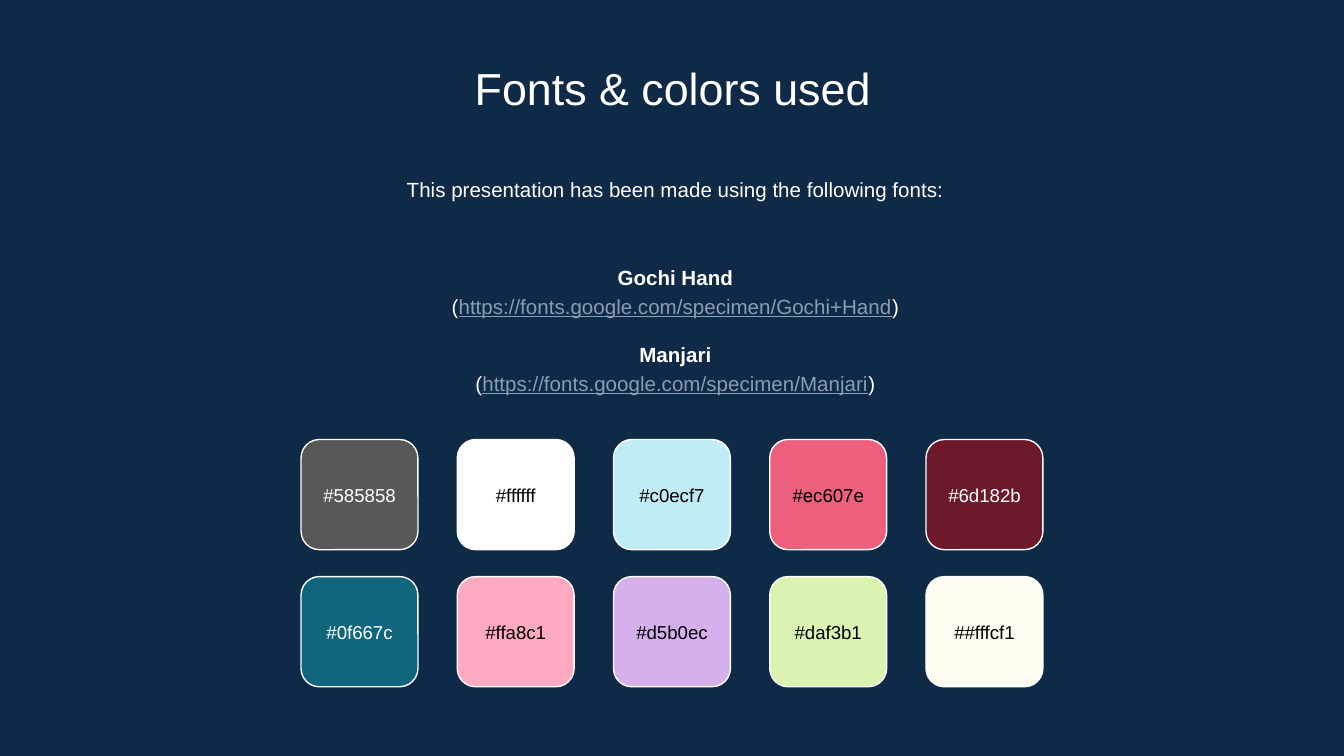
from typing import NamedTuple

from pptx import Presentation
from pptx.dml.color import RGBColor
from pptx.enum.shapes import MSO_SHAPE as Shape
from pptx.enum.text import MSO_ANCHOR as Anchor, PP_ALIGN as Align
from pptx.util import Inches, Pt

WIDTH = 10
HEIGHT = WIDTH * 9 / 16
FONT = "Arial"
NAVY, WHITE, BLACK, LINK = "0E2A47", "FFFFFF", "000000", "869FB2"
GRID_LEFT, GRID_TOP = 2.24, 3.27
SWATCH_WIDTH, SWATCH_HEIGHT, LABEL_HEIGHT = 0.87, 0.82, 0.48
COLUMNS = 5
COLUMN_STEP, ROW_STEP = (6.89 - GRID_LEFT) / (COLUMNS - 1), 1.02


class Box(NamedTuple):
    left: float
    top: float
    width: float
    height: float


class Span(NamedTuple):
    text: str
    color: str = WHITE
    bold: bool = False
    underline: bool = False


class Line(NamedTuple):
    spans: list[Span]
    space_before: float = 0


class Swatch(NamedTuple):
    label: str
    text_color: str = BLACK

    @property
    def fill(self) -> str:
        return self.label.lstrip("#").upper()


class FontCredit(NamedTuple):
    name: str
    address: str
    space_before: float = 0

    def lines(self) -> list[Line]:
        return [
            Line([Span(self.name, bold=True)], self.space_before),
            Line([Span("("), Span(self.address, LINK, underline=True), Span(")")]),
        ]


SWATCHES = [
    Swatch("#585858", WHITE), Swatch("#ffffff"), Swatch("#c0ecf7"),
    Swatch("#ec607e"), Swatch("#6d182b", WHITE),
    Swatch("#0f667c", WHITE), Swatch("#ffa8c1"), Swatch("#d5b0ec"),
    Swatch("#daf3b1"), Swatch("##fffcf1"),
]
CREDITS = [
    FontCredit("Gochi Hand", "https://fonts.google.com/specimen/Gochi+Hand"),
    FontCredit("Manjari", "https://fonts.google.com/specimen/Manjari", 11),
]


def rgb(color: str) -> RGBColor:
    return RGBColor.from_string(color)


def place(box: Box) -> list[int]:
    return [Inches(length) for length in box]


def draw_text(slide, box: Box, lines: list[Line], size: float,
              spacing: float = 1, anchor=Anchor.TOP) -> None:
    frame = slide.shapes.add_textbox(*place(box)).text_frame
    frame.word_wrap = True
    frame.vertical_anchor = anchor
    frame.margin_left = frame.margin_right = Inches(0.1)
    frame.margin_top = frame.margin_bottom = Inches(0.1)
    frame.text = "\n".join("" for _ in lines)
    for paragraph, line in zip(frame.paragraphs, lines):
        paragraph.alignment = Align.CENTER
        paragraph.line_spacing = spacing
        if line.space_before:
            paragraph.space_before = Pt(line.space_before)
        for span in line.spans:
            run = paragraph.add_run()
            run.text = span.text
            run.font.name = FONT
            run.font.size = Pt(size)
            run.font.bold = span.bold
            run.font.underline = span.underline
            run.font.color.rgb = rgb(span.color)


def draw_swatch(slide, swatch: Swatch, row: int, column: int) -> None:
    box = Box(GRID_LEFT + column * COLUMN_STEP, GRID_TOP + row * ROW_STEP,
              SWATCH_WIDTH, SWATCH_HEIGHT)
    shape = slide.shapes.add_shape(Shape.ROUNDED_RECTANGLE, *place(box))
    shape.shadow.inherit = False
    shape.fill.solid()
    shape.fill.fore_color.rgb = rgb(swatch.fill)
    shape.line.color.rgb = rgb(WHITE)
    shape.line.width = Pt(0.75)
    label_top = box.top + (SWATCH_HEIGHT - LABEL_HEIGHT) / 2
    draw_text(slide, box._replace(top=label_top, height=LABEL_HEIGHT),
              [Line([Span(swatch.label, swatch.text_color)])], 10,
              anchor=Anchor.MIDDLE)


def main() -> None:
    presentation = Presentation()
    presentation.slide_width = Inches(WIDTH)
    presentation.slide_height = Inches(HEIGHT)
    slide = presentation.slides.add_slide(presentation.slide_layouts[6])
    slide.background.fill.solid()
    slide.background.fill.fore_color.rgb = rgb(NAVY)

    draw_text(slide, Box(1.15, 0.35, 7.71, 0.53),
              [Line([Span("Fonts & colors used")])], 24)
    draw_text(slide, Box(1.17, 1.19, 7.71, 0.48),
              [Line([Span("This presentation has been made using the following fonts:")])],
              11, spacing=1.15)
    draw_text(slide, Box(1.17, 1.76, 7.71, 1.37),
              [line for credit in CREDITS for line in credit.lines()],
              11, spacing=1.15, anchor=Anchor.MIDDLE)
    for index, swatch in enumerate(SWATCHES):
        draw_swatch(slide, swatch, *divmod(index, COLUMNS))

    presentation.save("out.pptx")


if __name__ == "__main__":
    main()
